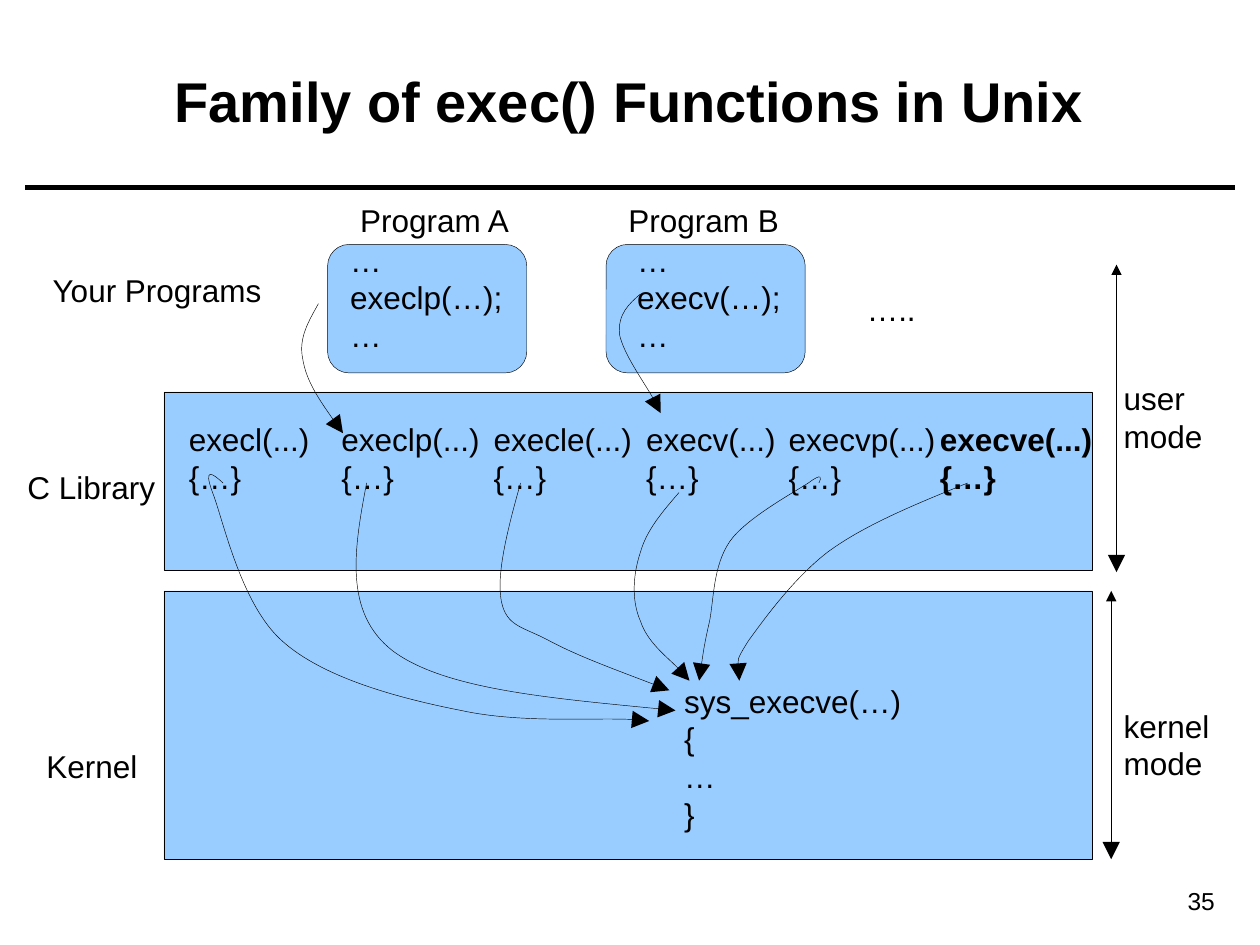
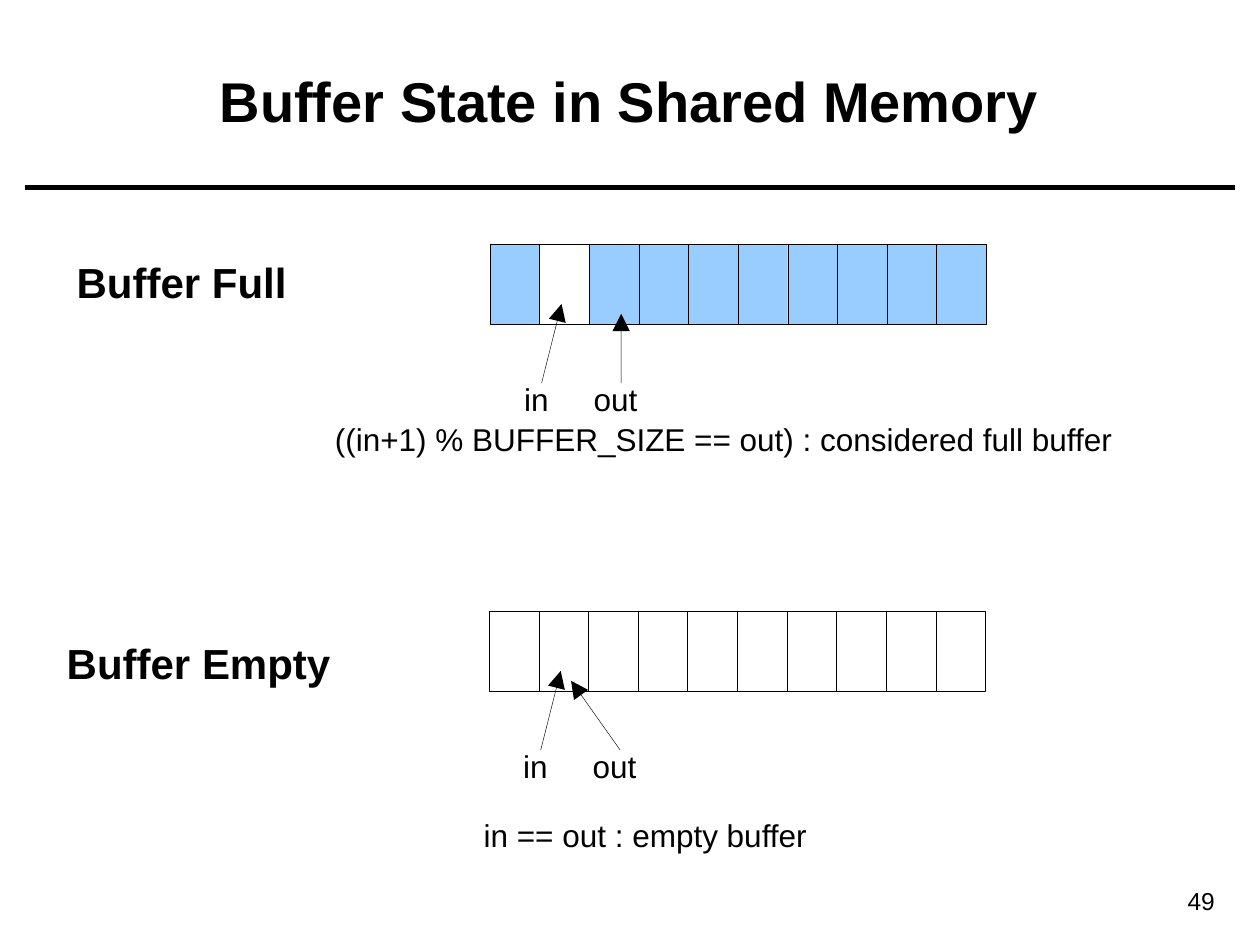
from dataclasses import dataclass
from itertools import chain
from typing import NamedTuple

from lxml import etree
from pptx import Presentation
from pptx.dml.color import RGBColor
from pptx.enum import shapes as kinds, text as modes
from pptx.oxml.ns import qn
from pptx.util import Pt


@dataclass(frozen=True)
class Theme:
    ink: RGBColor = RGBColor(0, 0, 0)
    sky: RGBColor = RGBColor(0x99, 0xCC, 0xFF)
    font: str = "Arial"
    title: float = 32
    head: float = 24
    body: float = 18
    note: float = 14
    hair: float = 0.25
    rule: float = 3
    inset: float = 7.2


THEME = Theme()
RECT = kinds.MSO_SHAPE.RECTANGLE
ROUND = kinds.MSO_SHAPE.ROUNDED_RECTANGLE
LEFT, MID, RIGHT = modes.PP_ALIGN.LEFT, modes.PP_ALIGN.CENTER, modes.PP_ALIGN.RIGHT


class Box(NamedTuple):
    left: float
    top: float
    width: float
    height: float


class Label(NamedTuple):
    words: str
    box: Box
    bold: bool = False


class Point(NamedTuple):
    x: float
    y: float


class Arrow(NamedTuple):
    start: Point
    end: Point


class Curve(NamedTuple):
    """A start point, then two handles and an end point for each bend."""
    start: Point
    bends: list[tuple[float, float]]


class Buffer(NamedTuple):
    title: Label
    left: float
    top: float
    full: set[int]
    tip: float
    rule: Label


def add_text(slide, words: str, box: Box, *, size: float = THEME.body,
             bold: bool = False, align=LEFT,
             anchor=modes.MSO_ANCHOR.TOP) -> None:
    """Add a text box; left-aligned words may use its right inset too."""
    frame = slide.shapes.add_textbox(*map(Pt, box)).text_frame
    frame.word_wrap = True
    frame.vertical_anchor = anchor
    frame.margin_right = Pt(0 if align == LEFT else THEME.inset)
    frame.text = words
    for para in frame.paragraphs:
        para.alignment = align
        font = para.font
        font.name, font.size, font.bold = THEME.font, Pt(size), bold
        font.color.rgb = THEME.ink


def add_labels(slide, labels: list[Label]) -> None:
    for label in labels:
        add_text(slide, label.words, label.box, bold=label.bold)


def set_line(line, width: float = THEME.hair) -> None:
    line.color.rgb = THEME.ink
    line.width = Pt(width)


def add_block(slide, box: Box, kind=RECT, filled: bool = True) -> None:
    block = slide.shapes.add_shape(kind, *map(Pt, box))
    block.shadow.inherit = False
    set_line(block.line)
    if filled:
        block.fill.solid()
        block.fill.fore_color.rgb = THEME.sky
    else:
        block.fill.background()


def add_tip(shape, end: str = "tailEnd", size: str = "lg") -> None:
    """Put a triangle on one end of a line."""
    stroke = shape.element.spPr.find(qn("a:ln"))
    etree.SubElement(stroke, qn(f"a:{end}"), type="triangle", w=size, len=size)


def add_line(slide, arrow: Arrow, width: float = THEME.hair,
             head: bool = False, tail: bool = True) -> None:
    ends = map(Pt, chain(arrow.start, arrow.end))
    line = slide.shapes.add_connector(kinds.MSO_CONNECTOR.STRAIGHT, *ends)
    set_line(line.line, width)
    etree.SubElement(line.element.spPr, qn("a:effectLst"))
    if head:
        add_tip(line, "headEnd", "med")
    if tail:
        add_tip(line)


def add_curve(slide, curve: Curve) -> None:
    """Draw the points as segments, then join every three into one bend."""
    build = slide.shapes.build_freeform(*map(Pt, curve.start))
    build.add_line_segments([(Pt(x), Pt(y)) for x, y in curve.bends], close=False)
    shape = build.convert_to_shape()
    shape.shadow.inherit = False
    shape.fill.background()
    set_line(shape.line)
    add_tip(shape)
    steps = list(shape.element.iter(qn("a:lnTo")))
    for first in range(0, len(steps), 3):
        bend = etree.Element(qn("a:cubicBezTo"))
        steps[first].addprevious(bend)
        for step in steps[first:first + 3]:
            bend.append(step[0])
            step.getparent().remove(step)


def new_slide(deck, title: str, number: int):
    slide = deck.slides.add_slide(deck.slide_layouts[6])
    add_line(slide, Arrow(Point(14.4, 107.3), Point(705.6, 107.3)),
             THEME.rule, tail=False)
    add_text(slide, str(number), Box(626.4, 502.6, 74.9, 24.5),
             size=THEME.note, align=RIGHT)
    add_text(slide, title, Box(25.2, 12.2, 668.9, 90), size=THEME.title,
             bold=True, align=MID, anchor=modes.MSO_ANCHOR.MIDDLE)
    return slide


PROGRAMS = [
    (187.2, Label("Program A", Box(198.7, 111.6, 100, 28.8)),
     Label("…\nexeclp(…);\n…", Box(193, 134, 101.5, 72))),
    (346.3, Label("Program B", Box(352, 111.6, 100, 28.8)),
     Label("…\nexecv(…);\n…", Box(357, 134, 96.5, 72))),
]

LIBRARY = [("execl", 100.8, 83.5), ("execlp", 188, 93.6), ("execle", 275, 93.6),
           ("execv", 362.2, 88.6), ("execvp", 443.5, 98), ("execve", 530, 101.5)]

LAYERS = [
    Label("Your Programs", Box(23, 151.2, 135.4, 28.8)),
    Label("C Library", Box(8.6, 264.2, 87, 28.8)),
    Label("Kernel", Box(19.4, 423.4, 66.2, 28.8)),
    Label("…..", Box(488.2, 162, 42.5, 28.8)),
    Label("user\vmode", Box(635, 213, 59, 50.4)),
    Label("kernel\vmode", Box(635, 400.3, 63.4, 50.4)),
    Label("sys_execve(…)\n{\n…\n}", Box(383.8, 386, 138.2, 93.6)),
]

MODES = [Arrow(Point(638, 151.2), Point(638, 327)),
         Arrow(Point(635, 337.7), Point(635, 491))]

CALLS = [
    Curve(Point(182, 173.5), [(176.5, 183.5), (170.5, 193), (173, 205),
                              (175, 217.5), (185, 232.5), (196, 247.5)]),
    Curve(Point(366, 168), [(359.5, 173.5), (353, 179.5), (354, 191),
                            (356.5, 202.5), (374.5, 227.5), (377.5, 236)]),
    Curve(Point(127.5, 276), [(121.5, 270.5), (116, 266.5), (121.5, 281.5),
                              (127.5, 296.5), (137.5, 345.5), (161.5, 366.5),
                              (185, 387.5), (228, 399), (263.5, 406),
                              (298, 413.5), (352, 409), (371, 412)]),
    Curve(Point(209.5, 276), [(202.5, 313), (196, 350), (224.5, 372),
                              (254, 394), (320.5, 399.5), (386, 406)]),
    Curve(Point(297.5, 276), [(290, 302.5), (283.5, 328.5), (286.5, 343.5),
                              (289.5, 358.5), (299, 358), (314.5, 366.5),
                              (330.5, 375), (356.5, 384.5), (382.5, 394.5)]),
    Curve(Point(388, 281.5), [(378.5, 292.5), (369.5, 303), (366, 315.5),
                              (362, 327.5), (360.5, 342.5), (366, 355),
                              (370, 367), (390, 383), (394, 389)]),
    Curve(Point(468, 276), [(469.5, 273), (470, 270), (462, 276),
                            (453.5, 281.5), (426, 296.5), (417, 309.5),
                            (407.5, 323.5), (408, 342), (405.5, 355),
                            (402.5, 368), (401, 378.5), (399.5, 389)]),
    Curve(Point(553, 276), [(523.5, 288), (494, 300), (473, 315.5),
                            (453.5, 330.5), (436.5, 354), (427.5, 366.5),
                            (420, 378.5), (421, 384), (422.5, 389)]),
]


def draw_family(deck) -> None:
    slide = new_slide(deck, "Family of exec() Functions in Unix", 35)
    for left, _, _ in PROGRAMS:
        add_block(slide, Box(left, 139.7, 113.8, 73.4), ROUND)
    for top, height in ((224, 102), (337.7, 153.4)):
        add_block(slide, Box(93.6, top, 530.6, height))
    for _, name, code in PROGRAMS:
        add_labels(slide, [name, code])
    add_labels(slide, LAYERS)
    add_labels(slide, [Label(f"{name}(...)\n{{…}}", Box(left, 236.4, width, 50.4),
                             name == "execve") for name, left, width in LIBRARY])
    for arrow in MODES:
        add_line(slide, arrow, head=True)
    for call in CALLS:
        add_curve(slide, call)


CELLS, CELL_W, CELL_H = 10, 28.35, 45.4

BUFFERS = [
    Buffer(Label("Buffer Full", Box(36.7, 143.3, 134, 36)), 280.1, 139.7,
           set(range(CELLS)) - {1}, 355,
           Label("((in+1) % BUFFER_SIZE == out) : considered full buffer",
                 Box(184.3, 236.2, 458.6, 28.8))),
    Buffer(Label("Buffer Empty", Box(31, 360.7, 165, 36)), 279.6, 349.4,
           set(), 326.3,
           Label("in == out : empty buffer", Box(269.3, 463, 199.4, 28.8))),
]


def draw_buffer(slide, buffer: Buffer) -> None:
    left, top = buffer.left, buffer.top
    for cell in range(CELLS):
        add_block(slide, Box(left + cell * CELL_W, top, CELL_W, CELL_H),
                  filled=cell in buffer.full)
    foot = top + 79.2
    add_line(slide, Arrow(Point(left + 29.4, foot), Point(left + 40.8, top + 34)))
    add_line(slide, Arrow(Point(left + 74.8, foot), Point(buffer.tip, top + 39.6)))
    add_labels(slide, [Label("in", Box(left + 12.3, top + 73.7, 28, 28.8)),
                       Label("out", Box(left + 52, top + 73.7, 39.6, 28.8)),
                       buffer.rule])
    add_text(slide, buffer.title.words, buffer.title.box,
             size=THEME.head, bold=True)


def main() -> None:
    deck = Presentation()
    deck.slide_width, deck.slide_height = Pt(720), Pt(540)
    draw_family(deck)
    slide = new_slide(deck, "Buffer State in Shared Memory", 49)
    for buffer in BUFFERS:
        draw_buffer(slide, buffer)
    deck.save("out.pptx")


if __name__ == "__main__":
    main()
